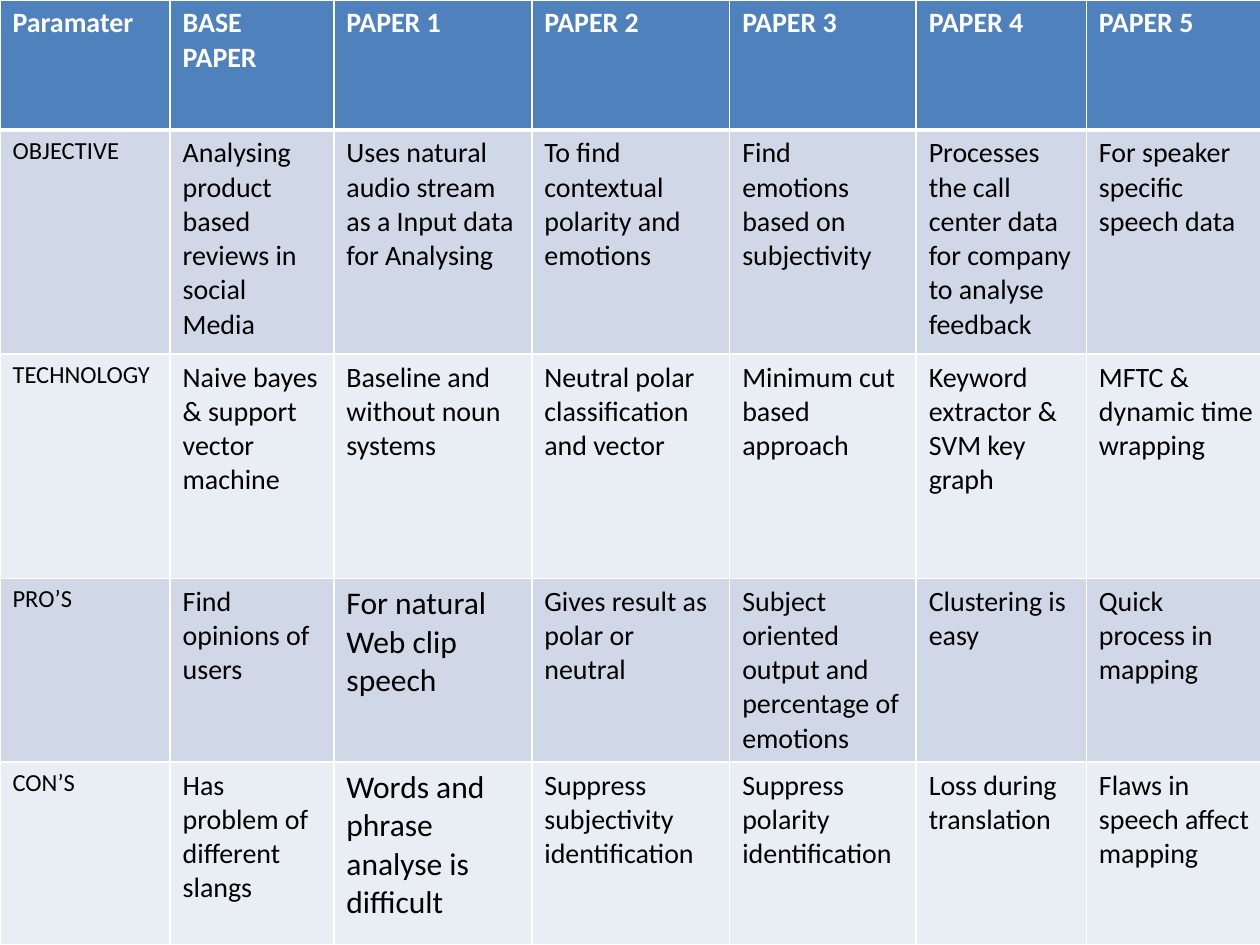
from pptx import Presentation
from pptx.util import Cm, Pt
from pptx.dml.color import RGBColor
from pptx.enum.text import PP_ALIGN
from pptx.oxml.ns import qn
from lxml.etree import SubElement

ROWS = [
    ("Paramater", "BASE PAPER", "PAPER 1", "PAPER 2", "PAPER 3", "PAPER 4", "PAPER 5"),
    ("OBJECTIVE", "Analysing product based reviews in social Media",
     "Uses natural audio stream as a Input data for Analysing",
     "To find contextual polarity and emotions",
     "Find emotions based on subjectivity",
     "Processes the call center data for company to analyse feedback",
     "For speaker specific speech data"),
    ("TECHNOLOGY", "Naive bayes & support vector machine",
     "Baseline and without noun systems",
     "Neutral polar classification and vector",
     "Minimum cut based approach",
     "Keyword extractor &\nSVM key graph",
     "MFTC & dynamic time wrapping"),
    ("PRO’S", "Find opinions of users", "For natural Web clip speech",
     "Gives result as polar or neutral",
     "Subject oriented output and percentage of emotions",
     "Clustering is easy", "Quick process in mapping"),
    ("CON’S", "Has problem of different slangs",
     "Words and phrase analyse is difficult",
     "Suppress subjectivity identification",
     "Suppress polarity identification",
     "Loss during translation", "Flaws in speech affect mapping"),
]
WIDTHS = [3.43, 3.3, 3.99, 3.99, 3.76, 3.43, 3.63]
HEIGHTS = [2.62, 4.52, 4.52, 3.68, 3.68]
BLUE, BANDS = "4F81BD", ("E9EDF4", "D0D8E8")
WHITE, BLACK = "FFFFFF", "000000"
SIZES = {(3, 2): 18, (4, 2): 18}


def color(code):
    return RGBColor.from_string(code)


def border(cell, row):
    props = cell._tc.get_or_add_tcPr()
    thick = {0: "lnB", 1: "lnT"}.get(row)
    for side in ("lnL", "lnR", "lnT", "lnB"):
        width = Pt(3 if side == thick else 1)
        line = SubElement(props, qn("a:" + side), w=str(width))
        fill = SubElement(line, qn("a:solidFill"))
        SubElement(fill, qn("a:srgbClr"), val=WHITE)


def style(cell, row, col):
    border(cell, row)
    cell.fill.solid()
    cell.fill.fore_color.rgb = color(BANDS[row % 2] if row else BLUE)
    size = 14 if row and not col else SIZES.get((row, col), 16)
    look = {"name": "Calibri", "size": Pt(size), "bold": row == 0}
    for para in cell.text_frame.paragraphs:
        if (row, col) == (1, 0):
            para.alignment = PP_ALIGN.JUSTIFY
        for run in para.runs:
            for key, value in look.items():
                setattr(run.font, key, value)
            run.font.color.rgb = color(BLACK if row else WHITE)


deck = Presentation()
deck.slide_width, deck.slide_height = Cm(25.4), Cm(19.05)
slide = deck.slides.add_slide(deck.slide_layouts[6])
table = slide.shapes.add_table(
    len(ROWS), len(WIDTHS), 0, 0, Cm(sum(WIDTHS)), Cm(sum(HEIGHTS))).table

for column, width in zip(table.columns, WIDTHS):
    column.width = Cm(width)
for row, (texts, height) in enumerate(zip(ROWS, HEIGHTS)):
    table.rows[row].height = Cm(height)
    for col, text in enumerate(texts):
        cell = table.cell(row, col)
        cell.text = text
        style(cell, row, col)

deck.save("out.pptx")
